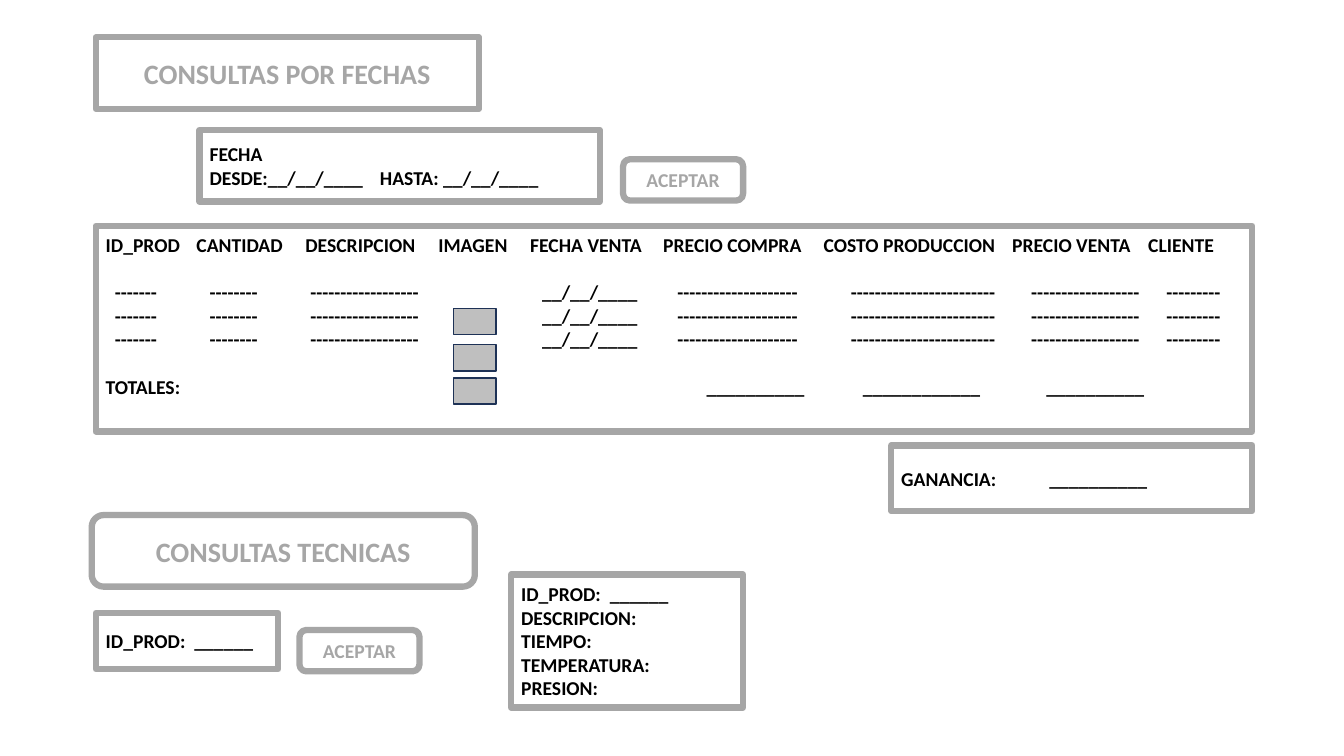
from lxml import etree
from pptx import Presentation
from pptx.dml.color import RGBColor
from pptx.enum.shapes import MSO_SHAPE
from pptx.enum.text import MSO_ANCHOR, MSO_AUTO_SIZE, PP_ALIGN
from pptx.oxml.ns import qn
from pptx.util import Inches, Pt

RECT, ROUND = MSO_SHAPE.RECTANGLE, MSO_SHAPE.ROUNDED_RECTANGLE
TOP, MIDDLE = MSO_ANCHOR.TOP, MSO_ANCHOR.MIDDLE
LEFT, CENTER = PP_ALIGN.LEFT, PP_ALIGN.CENTER
FIT_OFF = MSO_AUTO_SIZE.NONE
GRAY, BLACK, SILVER, NAVY = "A6A6A6", "000000", "BFBFBF", "1E3256"
TITLE_ONLY = 5

HEAD_STOPS = (0.9, 1.98, 3.3, 4.21, 5.53, 7.12, 8.99, 10.34)
ROW_STOPS = (0.09, 1.03, 2.03, 4.33, 5.67, 7.39, 9.18, 10.52)
SUM_STOPS = (5.96, 7.51, 9.33)
ID_STOPS = (0.88,)
HEADS = ("ID_PROD", "CANTIDAD", "DESCRIPCION", "IMAGEN", "FECHA VENTA",
         "PRECIO COMPRA", "COSTO PRODUCCION", "PRECIO VENTA", "CLIENTE")
CELLS = ("", "-" * 7, "-" * 8, "-" * 18, "__/__/____", "-" * 20, "-" * 24,
         "-" * 18, "-" * 9)
SUMS = ("TOTALES:", "_" * 10, "_" * 12, "_" * 10)
ID_LINE = ("ID_PROD:\t______", ID_STOPS)


def color(code):
    """Turn a hex string into a colour."""
    return RGBColor.from_string(code)


def paint(shape, line, width, fill=None):
    """Set the fill and outline of a shape."""
    if fill:
        shape.fill.solid()
        shape.fill.fore_color.rgb = color(fill)
    else:
        shape.fill.background()
    shape.line.color.rgb = color(line)
    shape.line.width = Pt(width)


def add_box(slide, kind, at, line=GRAY, width=4.5, fill=None):
    """Add a painted preset shape."""
    shape = slide.shapes.add_shape(kind, *map(Inches, at))
    shape.shadow.inherit = False
    paint(shape, line, width, fill)
    return shape


def set_tabs(para, stops):
    """Give a paragraph left tab stops, in inches."""
    tabs = etree.SubElement(para._p.get_or_add_pPr(), qn("a:tabLst"))
    for stop in stops:
        etree.SubElement(tabs, qn("a:tab"), pos=str(Inches(stop)), algn="l")


def write(shape, lines, align=LEFT, tint=BLACK, size=14, anchor=MIDDLE):
    """Write lines of (text, tab stops, space before) into a shape."""
    frame = shape.text_frame
    setup = {"word_wrap": True, "auto_size": FIT_OFF, "vertical_anchor": anchor,
             "margin_left": Inches(0.1), "margin_right": Inches(0.1),
             "margin_top": Inches(0.05), "margin_bottom": Inches(0.05)}
    for name, value in setup.items():
        setattr(frame, name, value)
    for i, (text, stops, *gap) in enumerate(lines):
        para = frame.add_paragraph() if i else frame.paragraphs[0]
        para.alignment = align
        if gap:
            para.space_before = Pt(gap[0])
        if stops:
            set_tabs(para, stops)
        run = para.add_run()
        run.text = text
        run.font.color.rgb = color(tint)
        look = {"name": "Calibri", "size": Pt(size), "bold": True}
        for name, value in look.items():
            setattr(run.font, name, value)


def add_title(slide, at, text):
    """Place the title as a rounded heading."""
    title = slide.shapes.title
    title.left, title.top, title.width, title.height = map(Inches, at)
    geom = etree.Element(qn("a:prstGeom"), prst="roundRect")
    etree.SubElement(geom, qn("a:avLst"))
    title.element.spPr.insert(1, geom)
    paint(title, GRAY, 4.5)
    write(title, [(text, ())], CENTER, GRAY, 20)


def add_label(slide, at, text, size):
    """Add a rounded heading or button."""
    write(add_box(slide, ROUND, at), [(text, ())], CENTER, GRAY, size)


def add_panel(slide, at, lines):
    """Add a framed panel with left-aligned lines."""
    write(add_box(slide, RECT, at), lines)


def add_sales(slide):
    """Add the sales listing with its image slots."""
    row = "\t".join(CELLS)
    lines = [("\t".join(HEADS), HEAD_STOPS), (row, ROW_STOPS, 17),
             (row, ROW_STOPS), (row, ROW_STOPS),
             ("\t".join(SUMS), SUM_STOPS, 17)]
    panel = add_box(slide, RECT, (0.95, 2.24, 11.47, 2.04))
    write(panel, lines, anchor=TOP)
    panel.text_frame.margin_top = Inches(0.07)
    for top in (3.06, 3.42, 3.75):
        add_box(slide, RECT, (4.5, top, 0.42, 0.26), NAVY, 1, SILVER)


def main():
    """Build the slide and save it."""
    deck = Presentation()
    deck.slide_width, deck.slide_height = Inches(13.33), Inches(7.5)
    slide = deck.slides.add_slide(deck.slide_layouts[TITLE_ONLY])

    add_title(slide, (0.95, 0.37, 3.8, 0.71), "CONSULTAS POR FECHAS")
    add_label(slide, (6.18, 1.58, 1.19, 0.41), "ACEPTAR", 14)
    add_panel(slide, (1.98, 1.29, 3.97, 0.71), [
        ("FECHA", ()), ("DESDE:__/__/____\tHASTA: __/__/____", (1.69,))])
    add_sales(slide)
    add_panel(slide, (8.84, 4.42, 3.58, 0.65),
              [("GANANCIA:\t__________", (1.47,))])

    add_label(slide, (0.91, 5.11, 3.8, 0.71), "CONSULTAS TECNICAS", 20)
    add_panel(slide, (0.95, 6.08, 1.81, 0.56), [ID_LINE])
    add_label(slide, (2.97, 6.25, 1.19, 0.41), "ACEPTAR", 14)
    fields = ("DESCRIPCION:", "TIEMPO:", "TEMPERATURA:", "PRESION:")
    add_panel(slide, (5.07, 5.7, 2.3, 1.32),
              [ID_LINE] + [(field, ()) for field in fields])
    deck.save("out.pptx")


main()
